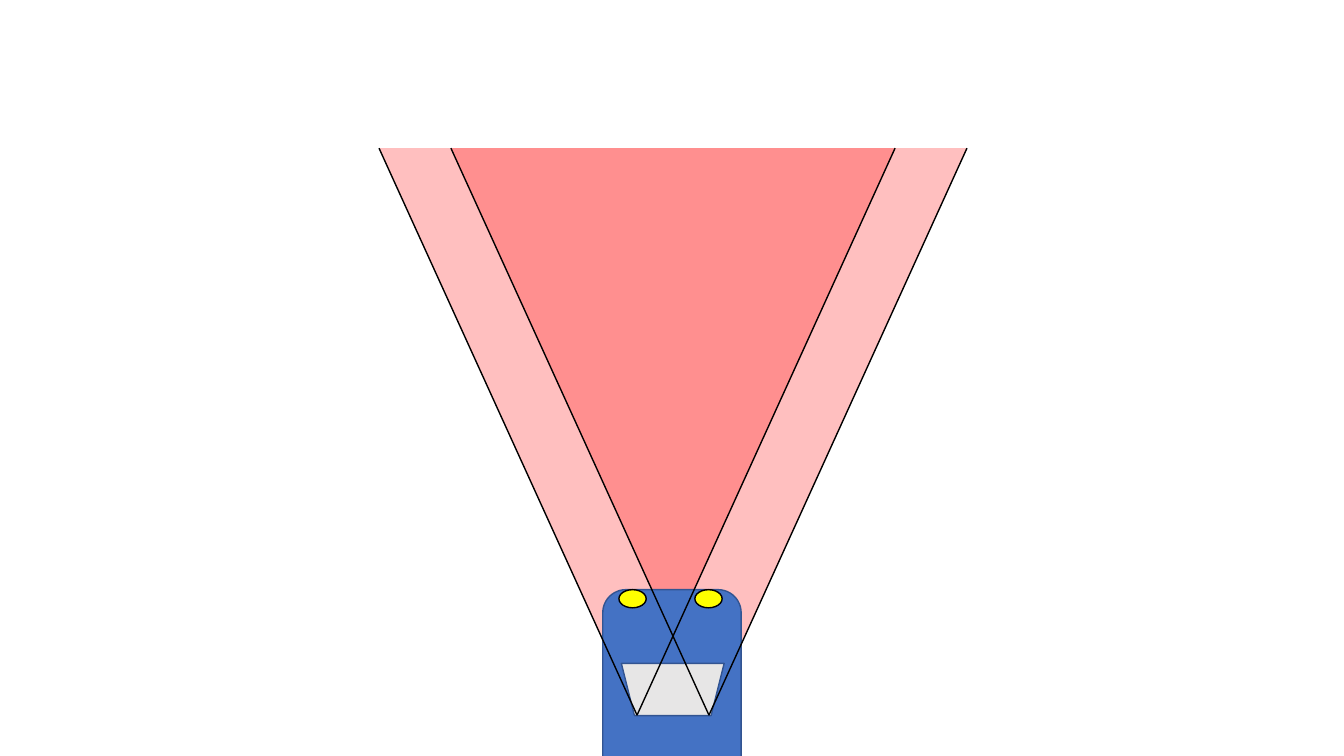
"""Car seen from above with two overlapping fields of view."""
from dataclasses import dataclass
from typing import Optional

from lxml import etree
from pptx import Presentation
from pptx import util as u
from pptx.dml.color import RGBColor
from pptx.enum import shapes
from pptx.oxml.ns import qn

KIND = shapes.MSO_SHAPE


@dataclass(frozen=True)
class Theme:
    """Colours and line width of the slide."""
    view: str = "FF0000"
    view_alpha: int = 25
    body: str = "4472C4"
    edge: str = "325491"
    lamp: str = "FFFF00"
    glass: str = "E7E6E6"
    ink: str = "000000"
    line_pt: float = 1


@dataclass(frozen=True)
class Part:
    """A preset shape; lengths are percentages of the slide's size."""
    kind: KIND
    left: float
    top: float
    width: float
    height: float
    fill: str
    line: Optional[str] = None
    alpha: Optional[int] = None
    rotation: float = 0


THEME = Theme()
prs = Presentation()
prs.slide_width, prs.slide_height = u.Inches(13.33), u.Inches(7.5)
slide = prs.slides.add_slide(prs.slide_layouts[6])


def across(share: float) -> int:
    """Turn a percentage of the slide's width into a length."""
    return round(prs.slide_width * share / 100)


def down(share: float) -> int:
    """Turn a percentage of the slide's height into a length."""
    return round(prs.slide_height * share / 100)


def style_line(line, colour: str) -> None:
    """Give a line its colour and the common width."""
    line.color.rgb = RGBColor.from_string(colour)
    line.width = u.Pt(THEME.line_pt)


def draw_part(part: Part) -> None:
    """Draw one filled shape."""
    sp = slide.shapes.add_shape(part.kind, across(part.left), down(part.top),
                                across(part.width), down(part.height))
    sp.shadow.inherit = False
    sp.rotation = part.rotation
    sp.fill.solid()
    sp.fill.fore_color.rgb = RGBColor.from_string(part.fill)
    if part.alpha is not None:
        colour = sp.fill._xPr.find(qn("a:solidFill"))[0]
        etree.SubElement(colour, qn("a:alpha"), val=str(part.alpha * 1000))
    if part.line:
        style_line(sp.line, part.line)
    else:
        sp.line.fill.background()


def draw_ray(x1: float, y1: float, x2: float, y2: float) -> None:
    """Draw one straight sight line."""
    ray = slide.shapes.add_connector(shapes.MSO_CONNECTOR.STRAIGHT,
                                     across(x1), down(y1), across(x2), down(y2))
    style_line(ray.line, THEME.ink)
    etree.SubElement(ray._element.spPr, qn("a:effectLst"))


VIEW_TOP, VIEW_HEIGHT, VIEW_WIDTH = 19.6, 75, 38.4
EYES = (47.4, 52.75)
LAMPS = (46.05, 51.7)
CAR_TOP = 78

views = [Part(KIND.ISOSCELES_TRIANGLE, eye - VIEW_WIDTH / 2, VIEW_TOP,
              VIEW_WIDTH, VIEW_HEIGHT, THEME.view,
              alpha=THEME.view_alpha, rotation=180) for eye in EYES]
body = Part(KIND.ROUNDED_RECTANGLE, 44.85, CAR_TOP, 10.3, 26.5,
            THEME.body, THEME.edge)
lamps = [Part(KIND.OVAL, left, CAR_TOP, 2.03, 2.4, THEME.lamp, THEME.ink)
         for left in LAMPS]
windscreen = Part(KIND.TRAPEZOID, 46.23, 87.75, 7.65, 6.9,
                  THEME.glass, THEME.edge, rotation=180)

for part in (*views, body, *lamps, windscreen):
    draw_part(part)
for side in (-1, 1):
    for eye in EYES:
        draw_ray(eye, VIEW_TOP + VIEW_HEIGHT,
                 eye + side * VIEW_WIDTH / 2, VIEW_TOP)

prs.save("out.pptx")
